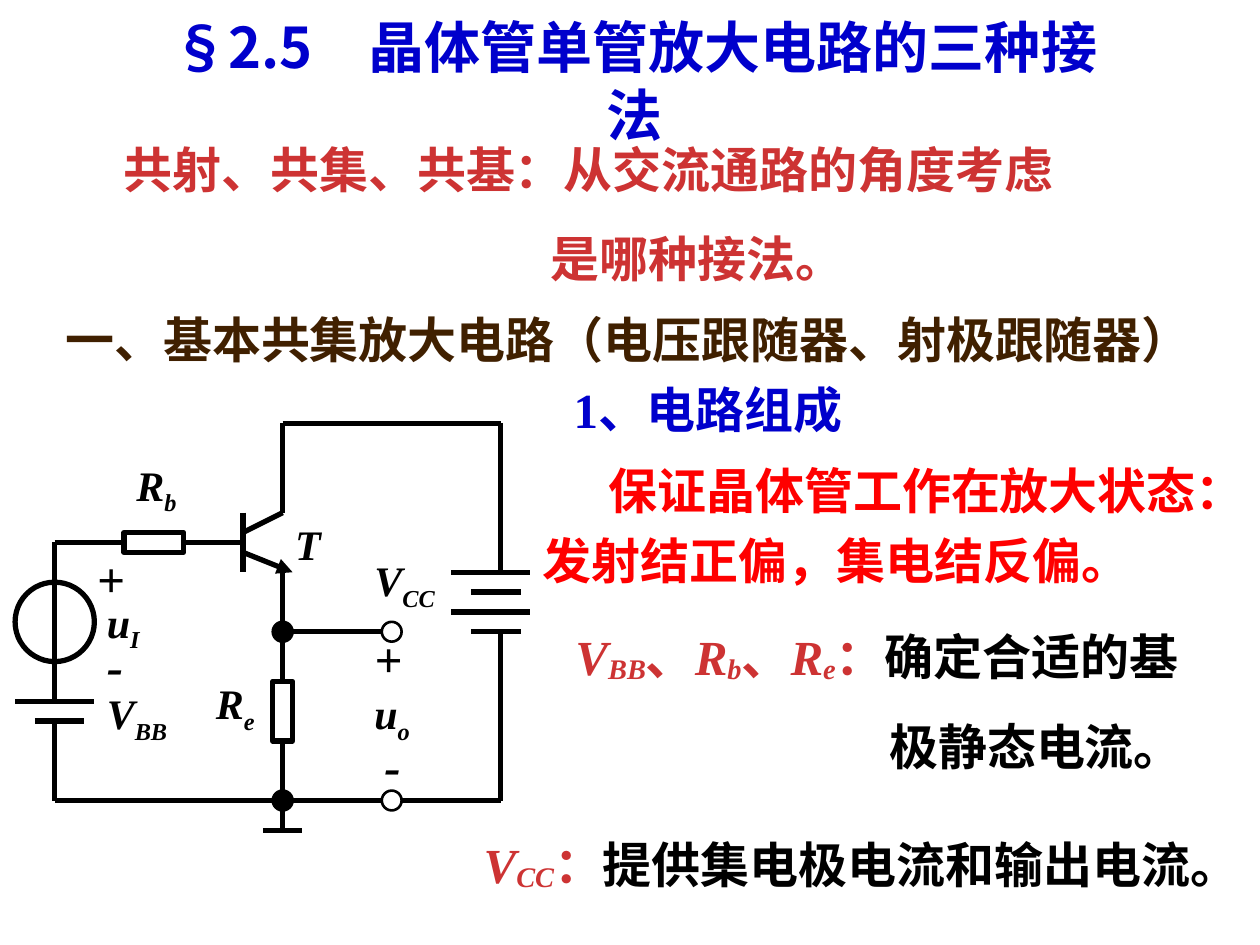
from dataclasses import dataclass
from typing import NamedTuple

from lxml.etree import SubElement as Sub
from pptx import Presentation
from pptx.dml.color import RGBColor as Rgb
from pptx.enum.shapes import MSO_CONNECTOR as Link, MSO_SHAPE as Kind
from pptx.enum.text import MSO_ANCHOR as Anchor, PP_ALIGN as Align
from pptx.oxml.ns import qn
from pptx.util import Inches, Pt


@dataclass(frozen=True)
class Theme:
    """Colours, fonts and sizes of the slide."""
    blue: str = "0000CC"
    rust: str = "CD3333"
    brown: str = "402000"
    red: str = "FF0000"
    black: str = "000000"
    serif: str = "Times New Roman"
    sans: str = "Noto Sans CJK JP"
    title: int = 32
    body: int = 28
    label: int = 24
    gap: float = 17.5
    wire: float = 3
    node: float = 1.5


class Box(NamedTuple):
    """A place on the slide grid, in columns and rows."""
    x: float
    y: float
    w: float
    h: float


class Run(NamedTuple):
    """A piece of text with its style."""
    text: str
    color: str
    ital: bool = False
    base: int = 0


T = Theme()
COLS, ROWS = 100, 75
WIDE, HIGH = Inches(10), Inches(7.5)


def emu(box):
    """Turn a grid box into slide lengths."""
    return [int(n * side) for n, side in zip(
        box, (WIDE / COLS, HIGH / ROWS) * 2)]


def write(para, runs, size, face=T.serif):
    """Fill one paragraph with bold runs."""
    for part in runs:
        run = para.add_run()
        run.text = part.text
        font = run.font
        font.name, font.size, font.bold = face, Pt(size), True
        font.italic = part.ital
        font.color.rgb = Rgb.from_string(part.color)
        if part.base:
            run._r.get_or_add_rPr().set("baseline", str(part.base * 1000))


def frame(shapes, box, anchor=Anchor.TOP):
    """Add a wrapping text box and return its frame."""
    text = shapes.add_textbox(*emu(box)).text_frame
    text.word_wrap = True
    text.vertical_anchor = anchor
    return text


def heading(shapes, box, text, color, size=T.body, face=T.serif,
            anchor=Anchor.TOP):
    """Place one centred heading."""
    para = frame(shapes, box, anchor).paragraphs[0]
    para.alignment = Align.CENTER
    write(para, [Run(text, color)], size, face)


def pair(shapes, box, first, second, inset):
    """Place a centred line above an indented one."""
    text = frame(shapes, box, Anchor.BOTTOM)
    top, low = text.paragraphs[0], text.add_paragraph()
    top.alignment = Align.CENTER
    write(top, first, T.body)
    low.space_before = Pt(T.gap)
    low._p.get_or_add_pPr().set("marL", str(int(inset * box.w * WIDE / COLS)))
    write(low, second, T.body)


def state(shapes, box):
    """Place the red note with its first line indented."""
    para = frame(shapes, box).paragraphs[0]
    para.line_spacing = 1.2
    para._p.get_or_add_pPr().set("indent", str(int(0.09 * box.w * WIDE / COLS)))
    write(para, [Run("保证晶体管工作在放大状态：发射结正偏，集电结反偏。", T.red)], T.body)


def symbol(name, sub, color=T.rust, base=-10):
    """Return the runs of a symbol with its index."""
    return [Run(name, color, True), Run(sub, color, True, base)]


def supply(shapes, box):
    """Place the note on the collector supply."""
    runs = symbol("V", "CC") + [Run("：", T.rust),
                                Run("提供集电极电流和输出电流。", T.black)]
    write(frame(shapes, box).paragraphs[0], runs, T.body)


def stroke(shape, width):
    """Give a line or outline its black pen."""
    shape.line.color.rgb = Rgb.from_string(T.black)
    shape.line.width = Pt(width)


def circuit(shapes, box):
    """Draw the emitter follower on a grid of 52 by 41 steps."""
    group = shapes.add_group_shape().shapes
    dx, dy = box.w / 52, box.h / 41

    def cell(x, y, w=0, h=0):
        """Place a step box on the slide grid."""
        return Box(box.x + x * dx, box.y + y * dy, w * dx, h * dy)

    def wire(x, y, x2, y2):
        """Draw one wire between two steps."""
        ends = emu(cell(x, y))[:2] + emu(cell(x2, y2))[:2]
        line = group.add_connector(Link.STRAIGHT, *ends)
        stroke(line, T.wire)
        Sub(line._element.spPr, qn("a:effectLst"))
        return line

    def part(kind, x, y, w, h, pen=T.wire, solid=False):
        """Draw one outlined part."""
        shape = group.add_shape(kind, *emu(cell(x, y, w, h)))
        shape.shadow.inherit = False
        stroke(shape, pen)
        if solid:
            shape.fill.solid()
            shape.fill.fore_color.rgb = Rgb.from_string(T.black)
        else:
            shape.fill.background()

    for ends in [
        (4, 12, 4, 28), (0, 28, 8, 28), (2, 30, 7, 30), (4, 30, 4, 38),
        (4, 12, 11, 12), (17, 12, 23, 12), (23, 9, 23, 15), (23, 11, 27, 9),
        (27, 9, 27, 0), (27, 0, 49, 0), (27, 15, 27, 26), (4, 38, 37, 38),
        (27, 32, 27, 41), (25, 41, 29, 41), (27, 21, 37, 21),
        (49, 0, 49, 15), (49, 21, 49, 38), (39, 38, 49, 38),
    ]:
        wire(*ends)
    for row in (15, 19):
        wire(44, row, 52, row)
        wire(46, row + 2, 51, row + 2)
    pen = wire(23, 13, 28, 15).line._get_or_add_ln()
    Sub(pen, qn("a:tailEnd")).set("type", "triangle")

    part(Kind.OVAL, 0, 16, 8, 8)
    part(Kind.RECTANGLE, 11, 11, 6, 2)
    part(Kind.RECTANGLE, 26, 26, 2, 6)
    for row in (20, 37):
        part(Kind.OVAL, 37, row, 2, 2, T.node)
        part(Kind.OVAL, 26, row, 2, 2, T.node, True)

    for x, y, w, name, sub in [
        (11, 3, 8, "R", "b"), (8, 16.8, 8, "u", "I"), (8, 26, 11, "V", "BB"),
        (19, 25, 8, "R", "e"), (35, 26, 8, "u", "o"), (35, 12.6, 11, "V", "CC"),
    ]:
        para = frame(group, cell(x, y, w, 7)).paragraphs[0]
        write(para, symbol(name, sub, T.black, -25), T.label)
    for x, y, sign, size in [
        (7, 12, "+", T.body), (8, 20.7, "-", T.body), (35, 20, "+", T.body),
        (36, 30.8, "-", T.body), (27, 9, "T", T.label),
    ]:
        para = frame(group, cell(x, y, 9, 7)).paragraphs[0]
        write(para, [Run(sign, T.black, True)], size)


def main():
    """Build and save the slide."""
    deck = Presentation()
    deck.slide_width, deck.slide_height = WIDE, HIGH
    shapes = deck.slides.add_slide(deck.slide_layouts[6]).shapes
    heading(shapes, Box(11.4, 2.8, 78, 7.1), "§2.5　晶体管单管放大电路的三种接法",
            T.blue, T.title, T.sans, Anchor.MIDDLE)
    heading(shapes, Box(1.2, 24.1, 97.3, 6.3),
            "一、基本共集放大电路（电压跟随器、射极跟随器）", T.brown)
    pair(shapes, Box(7.1, 10.5, 79.2, 12.8),
         [Run("共射、共集、共基：从交流通路的角度考虑", T.rust)],
         [Run("是哪种接法。", T.rust)], 0.45)
    circuit(shapes, Box(1.2, 33.6, 40.9, 32.3))
    state(shapes, Box(42.1, 35.1, 57.9, 12.2))
    heading(shapes, Box(43.7, 29.6, 25, 5.7), "1、电路组成", T.blue)
    comma = [Run("、", T.rust)]
    terms = (symbol("V", "BB") + comma + symbol("R", "b") + comma
             + symbol("R", "e"))
    pair(shapes, Box(42.1, 49.1, 55, 12.9),
         terms + [Run("：", T.rust), Run("确定合适的基", T.black)],
         [Run("极静态电流。", T.black)], 0.5)
    supply(shapes, Box(37.4, 65.7, 66, 5.8))
    deck.save("out.pptx")


if __name__ == "__main__":
    main()
